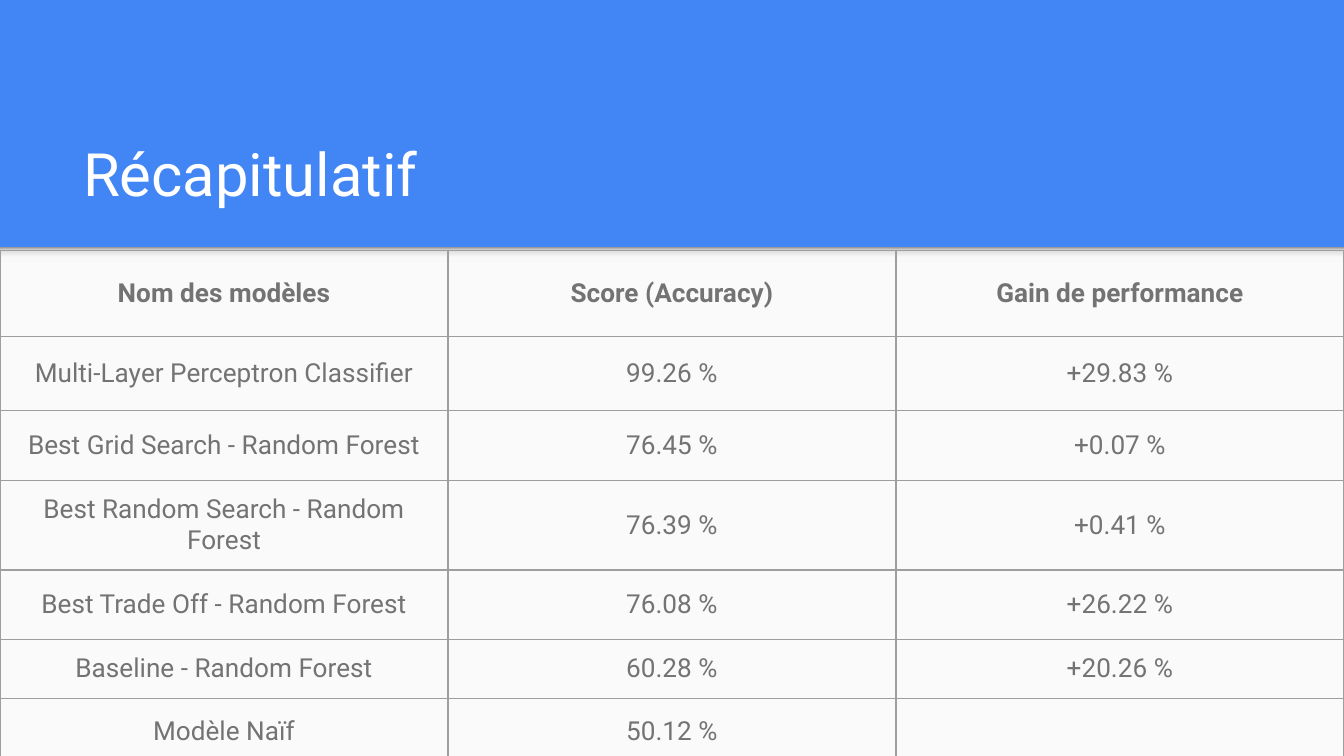
from lxml import etree
from pptx import Presentation
from pptx import util as u
from pptx.dml.color import RGBColor
from pptx.enum import shapes, text
from pptx.oxml.ns import qn

Pt = u.Pt


def color(hex_text):
    return RGBColor.from_string(hex_text)


class SlideBuilder:
    font = "Roboto"
    blue, white, paper = "4285F4", "FFFFFF", "FAFAFA"
    ink, border = "737373", "9E9E9E"
    inset = 7.2

    def __init__(self, slide):
        self.slide = slide

    def background(self):
        fill = self.slide.background.fill
        fill.solid()
        fill.fore_color.rgb = color(self.blue)

    def rectangle(self, left, top, width, height):
        box = self.slide.shapes.add_shape(
            shapes.MSO_SHAPE.RECTANGLE, Pt(left), Pt(top), Pt(width), Pt(height))
        box.shadow.inherit = False
        box.line.fill.background()
        box.fill.solid()
        box.fill.fore_color.rgb = color(self.paper)
        return box

    def gradient_band(self, left, top, width, height, stops):
        box = self.rectangle(left, top, width, height)
        box.fill.gradient()
        box.fill.gradient_angle = 90
        stop_list = box.fill._fill._gradFill.find(qn("a:gsLst"))
        for stop in list(stop_list):
            stop_list.remove(stop)
        for percent, shade in stops:
            stop = etree.SubElement(stop_list, qn("a:gs"), pos=str(percent * 1000))
            etree.SubElement(stop, qn("a:srgbClr"), val=shade)

    def style(self, para, size, shade, bold=False):
        for span in para.runs:
            span.font.name = self.font
            span.font.size = Pt(size)
            span.font.bold = bold
            span.font.color.rgb = color(shade)

    def title(self, left, top, width, height, words):
        box = self.slide.shapes.add_textbox(Pt(left), Pt(top), Pt(width), Pt(height))
        frame = box.text_frame
        frame.word_wrap = True
        frame.vertical_anchor = text.MSO_ANCHOR.BOTTOM
        frame.margin_left = frame.margin_right = Pt(self.inset)
        frame.margin_top = frame.margin_bottom = Pt(self.inset)
        frame.text = words
        self.style(frame.paragraphs[0], 32, self.white)

    def cell_borders(self, cell):
        properties = cell._tc.get_or_add_tcPr()
        for index, side in enumerate(("lnL", "lnR", "lnT", "lnB")):
            line = etree.Element(qn(f"a:{side}"), w=str(Pt(0.75)))
            fill = etree.SubElement(line, qn("a:solidFill"))
            etree.SubElement(fill, qn("a:srgbClr"), val=self.border)
            properties.insert(index, line)

    def table(self, left, top, width, heights, rows):
        columns = len(rows[0])
        table = self.slide.shapes.add_table(
            len(rows), columns, Pt(left), Pt(top), Pt(width), Pt(sum(heights))).table
        table.horz_banding = False
        for column in table.columns:
            column.width = Pt(width / columns)
        for row_index, (height, words) in enumerate(zip(heights, rows)):
            table.rows[row_index].height = Pt(height)
            for cell, label in zip(table.rows[row_index].cells, words):
                cell.fill.background()
                cell.vertical_anchor = text.MSO_ANCHOR.MIDDLE
                cell.margin_left = cell.margin_right = Pt(self.inset)
                cell.margin_top = cell.margin_bottom = Pt(self.inset)
                self.cell_borders(cell)
                if label:
                    cell.text_frame.text = label
                    para = cell.text_frame.paragraphs[0]
                    para.alignment = text.PP_ALIGN.CENTER
                    self.style(para, 14, self.ink, bold=row_index == 0)


def main():
    deck = Presentation()
    deck.slide_width, deck.slide_height = Pt(720), Pt(405)
    page = SlideBuilder(deck.slides.add_slide(deck.slide_layouts[6]))
    page.background()
    page.rectangle(0, 132.5, 720, 272.5)
    page.gradient_band(0, 132.5, 720, 8.5, [
        (0, "F9F9F9"), (36, "F9F9F9"), (80, "DEDEDE"), (100, "999999")])
    page.title(37.4, 58.3, 647.3, 60.5, "Récapitulatif")
    page.table(0, 134.1, 720, [46.1, 39.6, 37.5, 47.6, 37.5, 31, 31], [
        ("Nom des modèles", "Score (Accuracy)", "Gain de performance"),
        ("Multi-Layer Perceptron Classifier", "99.26 %", "+29.83 %"),
        ("Best Grid Search - Random Forest", "76.45 %", "+0.07 %"),
        ("Best Random Search - Random Forest", "76.39 %", "+0.41 %"),
        ("Best Trade Off - Random Forest", "76.08 %", "+26.22 %"),
        ("Baseline - Random Forest", "60.28 %", "+20.26 %"),
        ("Modèle Naïf", "50.12 %", ""),
    ])
    deck.save("out.pptx")


if __name__ == "__main__":
    main()
